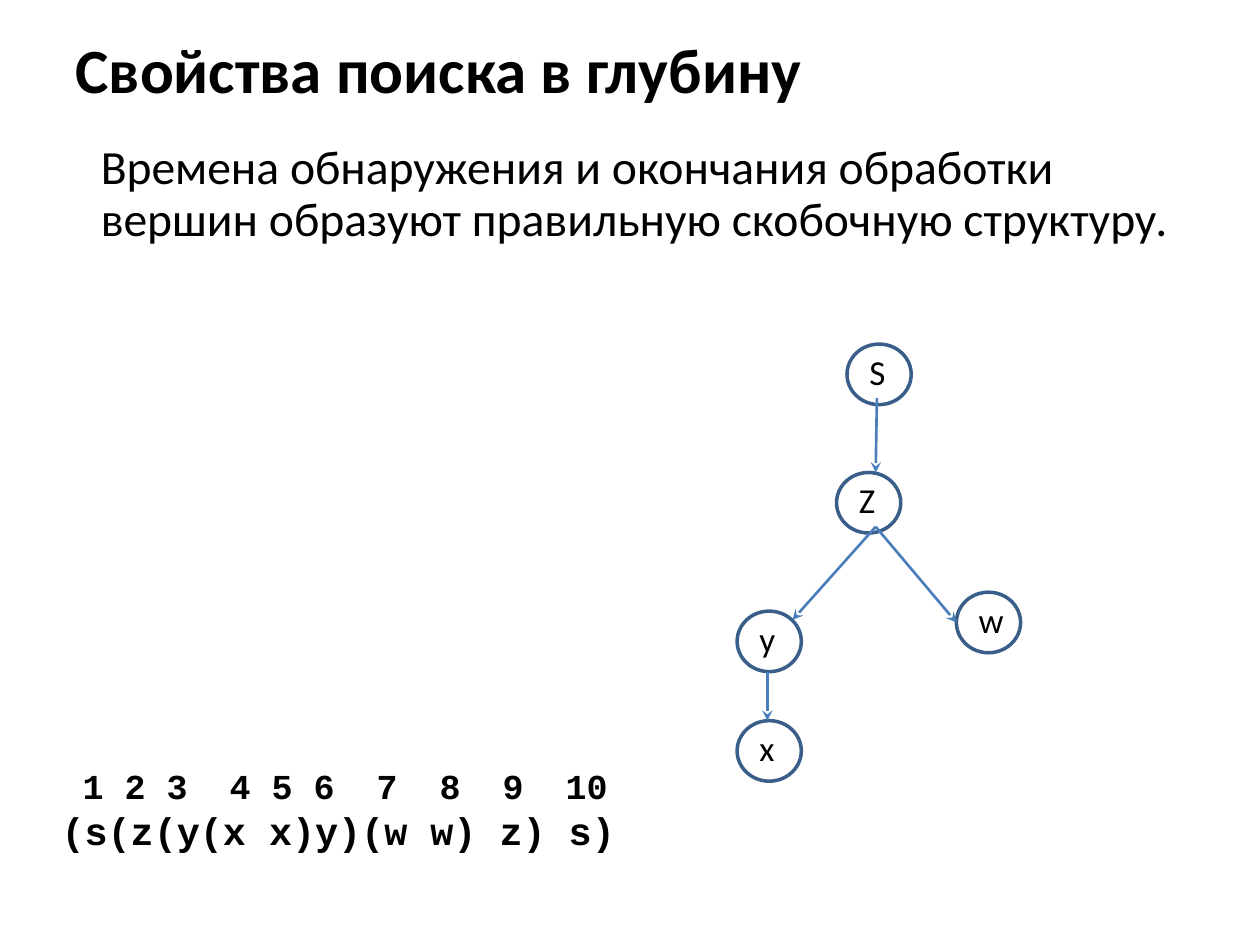
from dataclasses import dataclass

from lxml import etree
from pptx import Presentation
from pptx.dml.color import RGBColor
from pptx.enum.shapes import MSO_CONNECTOR, MSO_SHAPE
from pptx.enum.text import MSO_ANCHOR, MSO_AUTO_SIZE, PP_ALIGN
from pptx.oxml.ns import qn
from pptx.slide import Slide
from pptx.text.text import TextFrame, _Paragraph
from pptx.util import Pt

ELLIPSE = MSO_SHAPE.OVAL
STRAIGHT = MSO_CONNECTOR.STRAIGHT
MIDDLE = MSO_ANCHOR.MIDDLE
TOP = MSO_ANCHOR.TOP
LEFT = PP_ALIGN.LEFT
NO_AUTOFIT = MSO_AUTO_SIZE.NONE
GROW = MSO_AUTO_SIZE.SHAPE_TO_FIT_TEXT


@dataclass(frozen=True)
class Theme:
    ink: RGBColor = RGBColor(0x00, 0x00, 0x00)
    node_line: RGBColor = RGBColor(0x39, 0x5E, 0x89)
    edge_line: RGBColor = RGBColor(0x4A, 0x7E, 0xBB)
    sans: str = "Calibri"
    mono: str = "Courier New"
    title_size: float = 36
    statement_size: float = 27.2
    times_size: float = 20
    brackets_size: float = 22
    label_size: float = 20
    node_width: float = 2
    edge_width: float = 1.5


@dataclass(frozen=True)
class Box:
    left: float
    top: float
    width: float
    height: float


@dataclass(frozen=True)
class Vertex:
    name: str
    left: float
    top: float
    label_width: float


@dataclass(frozen=True)
class Edge:
    start: tuple[float, float]
    end: tuple[float, float]


THEME = Theme()
NODE_WIDTH, NODE_HEIGHT = 36.7, 34.6
LABEL_INSET, LABEL_HEIGHT = 5.7, 31
TIME_COLUMNS = (1, 3, 5, 8, 10, 12, 15, 18, 21, 24)
MONO_ADVANCE = 0.6

VERTICES = (
    Vertex("S", 484, 196.6, 23.8),
    Vertex("Z", 478, 270, 32.4),
    Vertex("y", 421.2, 349.2, 23.8),
    Vertex("w", 546.5, 338.4, 28.8),
    Vertex("x", 421.2, 411.8, 23),
)
Z_EXIT = (500.4, 301)
EDGES = (
    Edge((501.1, 227.5), (500.4, 270)),
    Edge(Z_EXIT, (452.9, 354.2)),
    Edge(Z_EXIT, (546.5, 355.7)),
    Edge((438.5, 383.8), (438.5, 411.8)),
)


def style(paragraph: _Paragraph, size: float, face: str, bold: bool = False) -> None:
    paragraph.alignment = LEFT
    font = paragraph.font
    font.size, font.name, font.bold = Pt(size), face, bold
    font.color.rgb = THEME.ink


def add_text_frame(slide: Slide, box: Box) -> TextFrame:
    frame = slide.shapes.add_textbox(
        Pt(box.left), Pt(box.top), Pt(box.width), Pt(box.height)
    ).text_frame
    frame.word_wrap = True
    frame.vertical_anchor = TOP
    return frame


def set_title(slide: Slide, text: str, box: Box) -> None:
    title = slide.shapes.title
    title.left, title.top = Pt(box.left), Pt(box.top)
    title.width, title.height = Pt(box.width), Pt(box.height)
    frame = title.text_frame
    frame.text = text
    frame.auto_size = NO_AUTOFIT
    frame.vertical_anchor = MIDDLE
    style(frame.paragraphs[0], THEME.title_size, THEME.sans, bold=True)


def add_statement(slide: Slide, text: str, box: Box) -> None:
    frame = add_text_frame(slide, box)
    frame.margin_left = Pt(21.6)
    statement = frame.paragraphs[0]
    statement.text = text
    statement.line_spacing = 0.9
    style(statement, THEME.statement_size, THEME.sans)


def add_tab_stops(paragraph: _Paragraph, columns: tuple[int, ...], advance: float) -> None:
    stops = etree.SubElement(paragraph._p.get_or_add_pPr(), qn("a:tabLst"))
    for column in columns:
        etree.SubElement(stops, qn("a:tab"), pos=str(Pt(column * advance)), algn="l")


def add_bracket_sequence(slide: Slide, brackets: str, box: Box) -> None:
    frame = add_text_frame(slide, box)
    times = frame.paragraphs[0]
    times.text = "".join(f"\t{time}" for time in range(1, len(TIME_COLUMNS) + 1))
    add_tab_stops(times, TIME_COLUMNS, THEME.times_size * MONO_ADVANCE)
    style(times, THEME.times_size, THEME.mono, bold=True)
    sequence = frame.add_paragraph()
    sequence.text = brackets
    style(sequence, THEME.brackets_size, THEME.mono, bold=True)


def add_vertex(slide: Slide, vertex: Vertex) -> None:
    node = slide.shapes.add_shape(
        ELLIPSE, Pt(vertex.left), Pt(vertex.top), Pt(NODE_WIDTH), Pt(NODE_HEIGHT)
    )
    node.shadow.inherit = False
    node.fill.background()
    node.line.color.rgb = THEME.node_line
    node.line.width = Pt(THEME.node_width)

    frame = add_text_frame(
        slide,
        Box(vertex.left + LABEL_INSET, vertex.top, vertex.label_width, LABEL_HEIGHT),
    )
    frame.word_wrap = False
    frame.auto_size = GROW
    label = frame.paragraphs[0]
    label.text = vertex.name
    style(label, THEME.label_size, THEME.sans)


def add_edge(slide: Slide, edge: Edge) -> None:
    arrow = slide.shapes.add_connector(
        STRAIGHT, *(Pt(value) for value in edge.start + edge.end)
    )
    arrow.line.color.rgb = THEME.edge_line
    arrow.line.width = Pt(THEME.edge_width)
    etree.SubElement(arrow.line._get_or_add_ln(), qn("a:tailEnd"), type="stealth")
    etree.SubElement(arrow._element.spPr, qn("a:effectLst"))


def main() -> None:
    deck = Presentation()
    deck.slide_width, deck.slide_height = Pt(720), Pt(540)
    slide = deck.slides.add_slide(deck.slide_layouts.get_by_name("Title Only"))
    set_title(slide, "Свойства поиска в глубину", Box(36, 21.6, 648, 34.6))
    add_statement(
        slide,
        "Времена обнаружения и окончания обработки вершин образуют "
        "правильную скобочную структуру.",
        Box(36, 78.5, 648, 67.7),
    )
    add_bracket_sequence(slide, "(s(z(y(x x)y)(w w) z) s)", Box(28.1, 433.4, 337.7, 58.3))
    for vertex in VERTICES:
        add_vertex(slide, vertex)
    for edge in EDGES:
        add_edge(slide, edge)
    deck.save("out.pptx")


if __name__ == "__main__":
    main()
